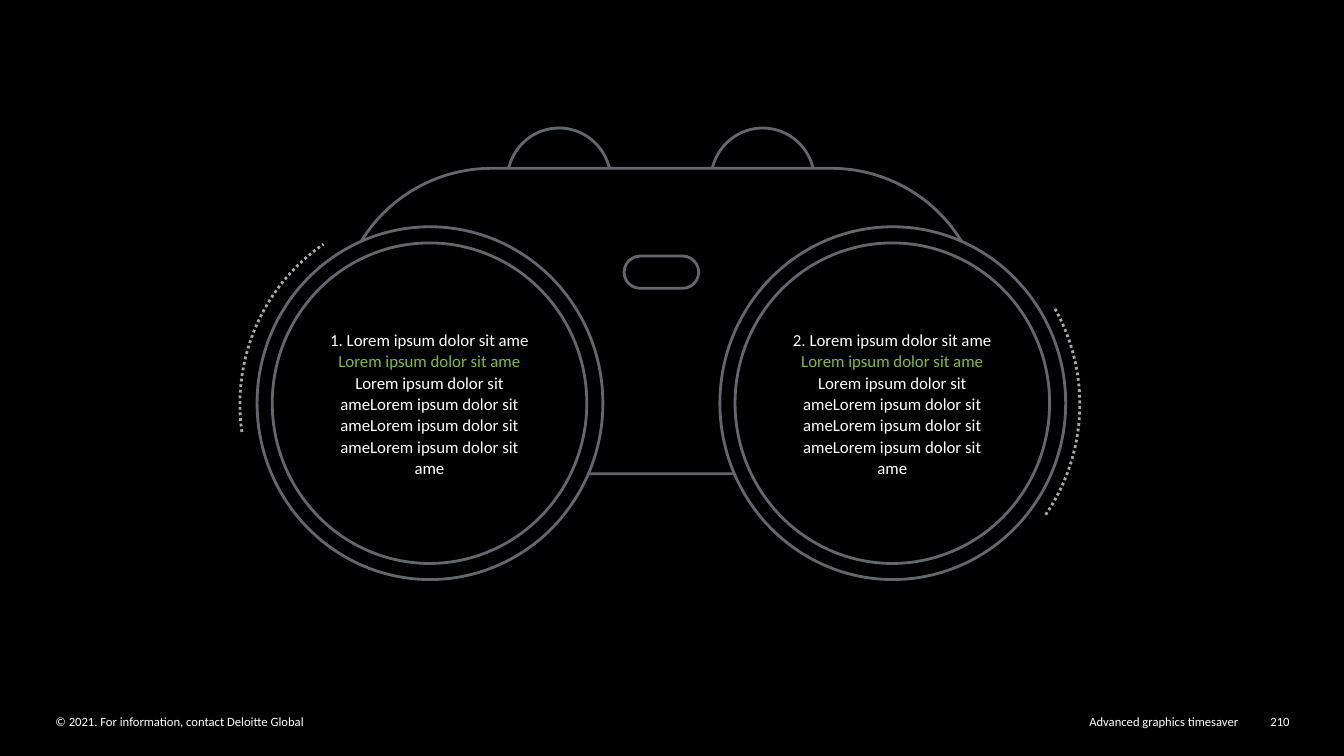
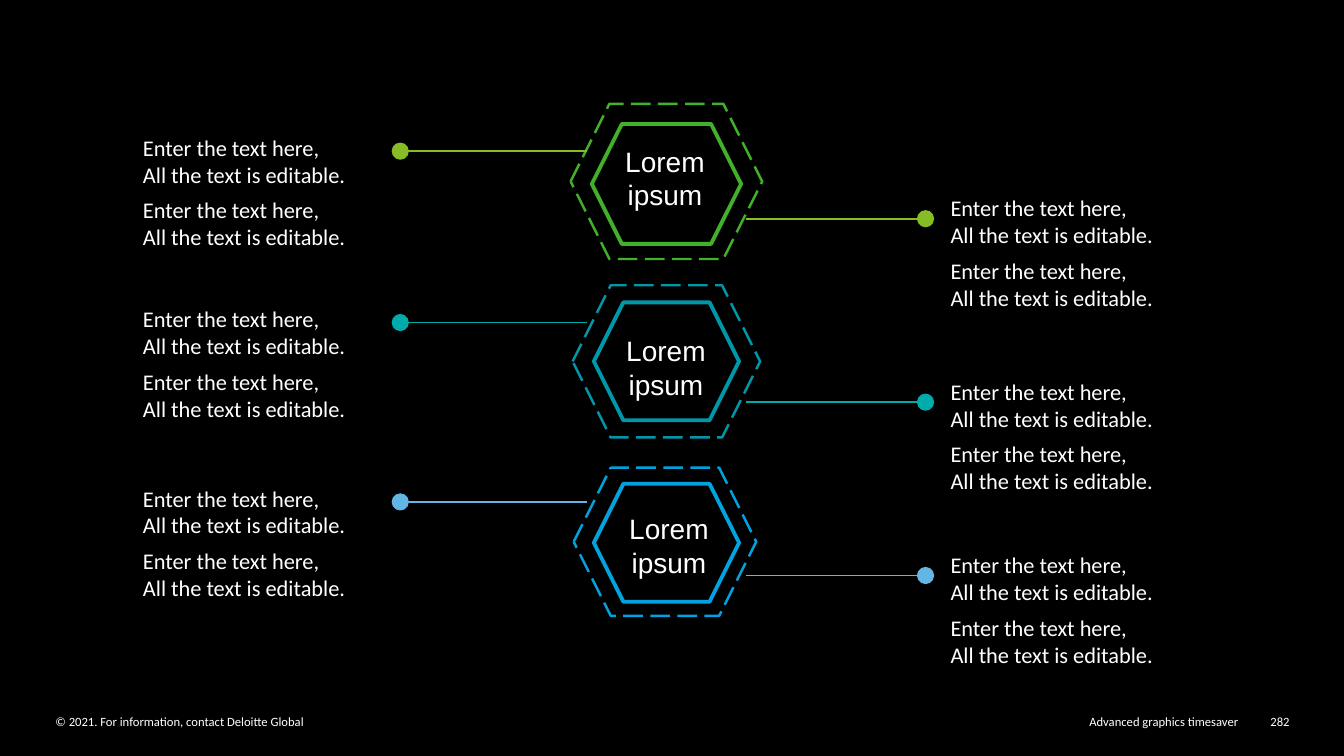
from dataclasses import dataclass

from lxml import etree
from pptx import Presentation
from pptx.dml.color import RGBColor
from pptx.enum.dml import MSO_LINE
from pptx.enum.shapes import MSO_CONNECTOR, MSO_SHAPE
from pptx.enum.text import MSO_ANCHOR, PP_ALIGN
from pptx.oxml.ns import qn
from pptx.util import Inches, Pt

ELLIPSE, ROUND, ARC, HEXAGON = (MSO_SHAPE.OVAL, MSO_SHAPE.ROUNDED_RECTANGLE,
                                MSO_SHAPE.ARC, MSO_SHAPE.HEXAGON)
DOTTED, DASHED = MSO_LINE.ROUND_DOT, MSO_LINE.LONG_DASH
LEFT, CENTER, RIGHT = PP_ALIGN.LEFT, PP_ALIGN.CENTER, PP_ALIGN.RIGHT
TOP, MIDDLE = MSO_ANCHOR.TOP, MSO_ANCHOR.MIDDLE


@dataclass(frozen=True)
class Theme:
    back: str = "000000"
    text: str = "FFFFFF"
    outline: str = "63666A"
    pale: str = "A7A8AA"
    accent: str = "86BC25"
    body_font: str = "Calibri"
    label_font: str = "Arial"
    footer: float = 9
    lens: float = 12
    note: float = 16
    label: float = 20


@dataclass(frozen=True)
class Box:
    x: float
    y: float
    w: float
    h: float

    def emu(self) -> tuple:
        return tuple(Inches(v) for v in (self.x, self.y, self.w, self.h))

    def shift(self, dx: float) -> "Box":
        return Box(self.x + dx, self.y, self.w, self.h)


@dataclass(frozen=True)
class Lens:
    number: int
    dx: float            # shift from the left lens
    arc: tuple           # start and end angle in degrees


@dataclass(frozen=True)
class Stage:
    color: str           # hexagon colour
    dot: str             # callout colour
    inner: Box
    outer: Box
    label: Box
    left_y: float        # top of the left notes
    right_y: float       # top of the right notes


@dataclass(frozen=True)
class Side:
    text_x: float
    line_x: float
    dot_x: float
    drop: float          # from the top of the notes to the line


THEME = Theme()

# Binoculars
KNOBS = (Box(5.03, 1.27, 1.03, 1.05), Box(7.05, 1.27, 1.03, 1.05))
BODY = (Box(3.36, 1.67, 6.4, 3.03), Box(6.19, 2.54, 0.74, 0.32))
RIM, GLASS, HALO = (Box(2.55, 2.25, 3.43, 3.5), Box(2.7, 2.41, 3.12, 3.18),
                    Box(2.38, 2.1, 3.74, 3.82))
LENSES = (Lens(1, 0, (171.5, 236.73)), Lens(2, 4.59, (329.8, 35.62)))
LOREM = "Lorem ipsum dolor sit ame"

# Hexagon stages
STAGES = (
    Stage("43B02A", "86BC25", Box(5.87, 1.23, 1.48, 1.19), Box(5.66, 1.03, 1.9, 1.54),
          Box(5.92, 1.38, 1.35, 0.77), 1.28, 1.88),
    Stage("0097A9", "00ABAB", Box(5.89, 3, 1.44, 1.17), Box(5.68, 2.83, 1.86, 1.51),
          Box(5.93, 3.26, 1.35, 0.77), 2.98, 3.7),
    Stage("00A3E0", "62B5E5", Box(5.89, 4.8, 1.44, 1.17), Box(5.69, 4.64, 1.81, 1.47),
          Box(5.96, 5.03, 1.35, 0.77), 4.76, 5.42),
)
LEFT_SIDE = Side(1.32, 3.97, 3.89, 0.22)
RIGHT_SIDE = Side(9.33, 7.4, 9.1, 0.29)
LINE_W, DOT, NOTE_STEP = 1.85, 0.16, 0.62
NOTE = ("Enter the text here,", "All the text is editable.")


def rgb(color: str) -> RGBColor:
    return RGBColor.from_string(color)


def write(tf, *paragraphs, size: float, font: str = THEME.body_font, align=LEFT,
          anchor=TOP, inset: tuple = (0.1, 0.05), spacing: float | None = None) -> None:
    """Fill a text frame; a paragraph is a string or a list of (text, colour) runs."""
    tf.word_wrap = True
    tf.vertical_anchor = anchor
    tf.margin_left = tf.margin_right = Inches(inset[0])
    tf.margin_top = tf.margin_bottom = Inches(inset[1])
    for i, runs in enumerate(paragraphs):
        p = tf.add_paragraph() if i else tf.paragraphs[0]
        p.alignment = align
        if spacing:
            p.line_spacing = spacing
        for text, color in [(runs, THEME.text)] if isinstance(runs, str) else runs:
            r = p.add_run()
            r.text = text
            r.font.name, r.font.size = font, Pt(size)
            r.font.color.rgb = rgb(color)


def add_text(s, box: Box, *paragraphs, **fmt) -> None:
    write(s.shapes.add_textbox(*box.emu()).text_frame, *paragraphs, **fmt)


def add_shape(s, kind, box: Box, line: str = THEME.outline, width: float = 2,
              fill: str | None = THEME.back, dash=None, adj: tuple = ()):
    sp = s.shapes.add_shape(kind, *box.emu())
    sp.shadow.inherit = False
    for i, value in enumerate(adj):
        sp.adjustments[i] = value
    if fill:
        sp.fill.solid()
        sp.fill.fore_color.rgb = rgb(fill)
    else:
        sp.fill.background()
    sp.line.color.rgb = rgb(line)
    sp.line.width = Pt(width)
    if dash:
        sp.line.dash_style = dash
    return sp


def add_line(s, x: float, y: float, length: float, color: str) -> None:
    cn = s.shapes.add_connector(MSO_CONNECTOR.STRAIGHT, Inches(x), Inches(y),
                                Inches(x + length), Inches(y))
    cn.line.color.rgb = rgb(color)
    cn.line.width = Pt(1.25)
    etree.SubElement(cn._element.spPr, qn("a:effectLst"))


def add_slide(prs, number: int):
    """Add a slide with the shared footer."""
    s = prs.slides.add_slide(prs.slide_layouts[6])
    for x, w, text, align in (
            (0.55, 5.86, "© 2021. For information, contact Deloitte Global", LEFT),
            (6.93, 5.35, "Advanced graphics timesaver", RIGHT),
            (12.45, 0.34, str(number), RIGHT)):
        add_text(s, Box(x, 7.08, w, 0.15), text, size=THEME.footer, align=align,
                 inset=(0, 0))
    return s


def add_lens(s, lens: Lens) -> None:
    add_shape(s, ELLIPSE, RIM.shift(lens.dx))
    sp = add_shape(s, ELLIPSE, GLASS.shift(lens.dx))
    write(sp.text_frame,
          [(f"{lens.number}. {LOREM} ", THEME.text), (f"{LOREM} ", THEME.accent),
           (LOREM * 4, THEME.text)],
          size=THEME.lens, align=CENTER, anchor=MIDDLE, inset=(0.1, 0.1), spacing=1.06)
    # Arc adjustments count 0.6 per degree
    add_shape(s, ARC, HALO.shift(lens.dx), line=THEME.pale, fill=None, dash=DOTTED,
              adj=tuple(angle * 0.6 for angle in lens.arc))


def add_callout(s, side: Side, y: float, color: str) -> None:
    line_y = y + side.drop
    add_line(s, side.line_x, line_y, LINE_W, color)
    add_shape(s, ELLIPSE, Box(side.dot_x, line_y - DOT / 2, DOT, DOT), line=color,
              width=0.75, fill=color)
    for i in range(2):
        add_text(s, Box(side.text_x, y + i * NOTE_STEP, 3.23, 0.64), *NOTE,
                 size=THEME.note)


def add_stage(s, stage: Stage) -> None:
    add_shape(s, HEXAGON, stage.inner, line=stage.color, width=2.75, fill=None)
    add_shape(s, HEXAGON, stage.outer, line=stage.color, width=1.75, fill=None,
              dash=DASHED)
    add_text(s, stage.label, "Lorem ipsum", size=THEME.label, font=THEME.label_font,
             align=CENTER)
    add_callout(s, LEFT_SIDE, stage.left_y, stage.dot)
    add_callout(s, RIGHT_SIDE, stage.right_y, stage.dot)


def main() -> None:
    prs = Presentation()
    prs.slide_width, prs.slide_height = Inches(13.33), Inches(7.5)
    back = prs.slide_master.background.fill
    back.solid()
    back.fore_color.rgb = rgb(THEME.back)

    # Binoculars slide
    s = add_slide(prs, 210)
    for box in KNOBS:
        add_shape(s, ELLIPSE, box)
    for box in BODY:
        add_shape(s, ROUND, box, adj=(0.5,))
    for lens in LENSES:
        add_lens(s, lens)

    # Hexagon slide
    s = add_slide(prs, 282)
    for stage in STAGES:
        add_stage(s, stage)

    prs.save("out.pptx")


if __name__ == "__main__":
    main()
